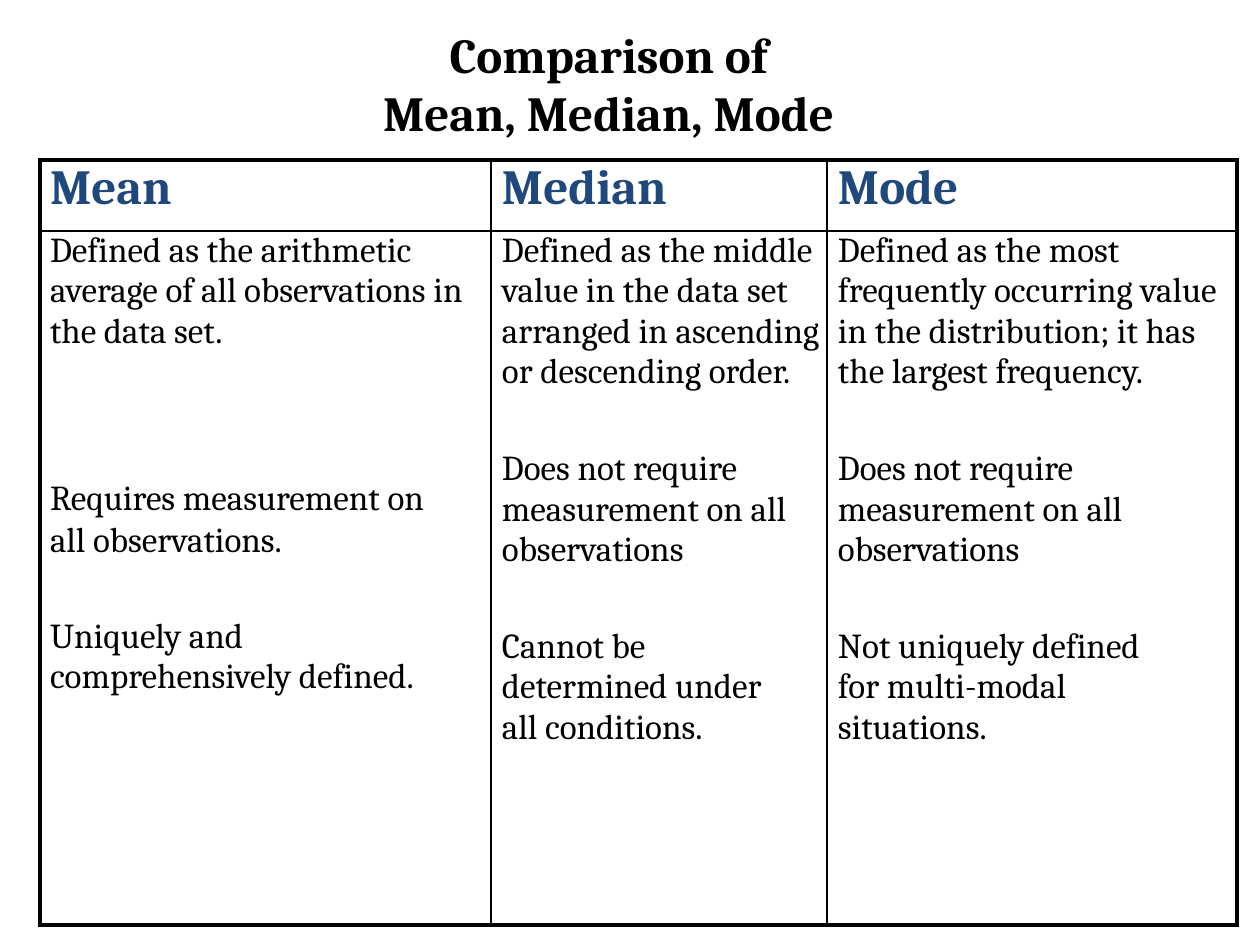
from pptx import Presentation
from pptx import util as u
from pptx.dml.color import RGBColor
from pptx.enum import text
from pptx.oxml import parse_xml
from pptx.oxml.ns import nsdecls

SCALE = 914400 / 126  # EMU in one px
FONT = "Cambria"
BLACK, BLUE = "000000", "1F487C"
THIN, THICK = 1, 2.25

COLUMN_WIDTHS = [451, 336, 410]
ROW_HEIGHTS = [71, 694]
INDENTS = [10, 11, 11]
HEADINGS = ["Mean", "Median", "Mode"]

# Each paragraph: wording, space before in points, line spacing, right indent in px
COLUMNS = [
    [
        ("Defined as the arithmetic average of all observations in the data set.", 0, 1, 0),
        ("Requires measurement on", 71.5, 1.05, 0),
        ("all observations.", 0, 1.05, 0),
        ("Uniquely and comprehensively defined.", 31.5, 1, 40),
    ],
    [
        ("Defined as the middle value in the data set arranged in ascending or descending order.",
         0, 1, 5),
        ("Does not require measurement on all observations", 32.5, 1, 0),
        ("Cannot be determined under all conditions.", 32.5, 1, 45),
    ],
    [
        ("Defined as the most frequently occurring value in the distribution; "
         "it has the largest frequency.", 0, 1, 0),
        ("Does not require measurement on all observations", 32.5, 1, 0),
        ("Not uniquely defined for multi-modal situations.", 32.5, 1, 70),
    ],
]


def px(length):
    return u.Emu(round(length * SCALE))


def color(code):
    return RGBColor.from_string(code)


def add_span(para, wording, size, code, bold=False):
    span = para.add_run()
    span.text = wording
    span.font.name = FONT
    span.font.size = u.Pt(size)
    span.font.bold = bold
    span.font.color.rgb = color(code)


def clear_insets(area):
    area.margin_left = area.margin_right = area.margin_top = area.margin_bottom = 0
    area.vertical_anchor = text.MSO_ANCHOR.TOP


def next_para(frame, index):
    return frame.paragraphs[0] if index == 0 else frame.add_paragraph()


def indent(para, left, right=0):
    properties = para._p.get_or_add_pPr()
    properties.set("marL", str(px(left)))
    properties.set("marR", str(px(right)))
    properties.set("indent", "0")


def add_title(page, lines):
    title = page.shapes.title
    title.left, title.top, title.width, title.height = map(px, (366, 24, 485, 111))
    frame = title.text_frame
    clear_insets(frame)
    frame.word_wrap = True
    frame.auto_size = text.MSO_AUTO_SIZE.NONE
    for index, line in enumerate(lines):
        para = next_para(frame, index)
        para.alignment = text.PP_ALIGN.CENTER
        para.space_before = u.Pt(0)
        para.line_spacing = 1.0
        add_span(para, line, 28, BLACK, bold=True)


def set_borders(cell, row, column):
    outer = {
        "L": column == 0,
        "R": column == len(COLUMN_WIDTHS) - 1,
        "T": row == 0,
        "B": row == len(ROW_HEIGHTS) - 1,
    }
    properties = cell._tc.get_or_add_tcPr()
    for index, (side, is_outer) in enumerate(outer.items()):
        width = u.Pt(THICK if is_outer else THIN)
        properties.insert(index, parse_xml(
            f'<a:ln{side} {nsdecls("a")} w="{width}"><a:solidFill>'
            f'<a:srgbClr val="{BLACK}"/></a:solidFill></a:ln{side}>'))


def fill_column(table, column):
    heading, body = table.cell(0, column), table.cell(1, column)
    for row, cell in enumerate((heading, body)):
        clear_insets(cell)
        cell.fill.background()
        set_borders(cell, row, column)

    para = heading.text_frame.paragraphs[0]
    indent(para, INDENTS[column])
    add_span(para, HEADINGS[column], 28, BLUE, bold=True)

    for index, (wording, before, spacing, right) in enumerate(COLUMNS[column]):
        para = next_para(body.text_frame, index)
        indent(para, INDENTS[column], right)
        para.space_before = u.Pt(before)
        para.line_spacing = spacing
        add_span(para, wording, 20, BLACK)


def add_comparison(page):
    frame = page.shapes.add_table(
        len(ROW_HEIGHTS), len(COLUMN_WIDTHS), px(40), px(160),
        px(sum(COLUMN_WIDTHS)), px(sum(ROW_HEIGHTS)))
    table = frame.table
    table.first_row = table.horz_banding = False
    for row, height in zip(table.rows, ROW_HEIGHTS):
        row.height = px(height)
    for index, width in enumerate(COLUMN_WIDTHS):
        table.columns[index].width = px(width)
        fill_column(table, index)


def main():
    deck = Presentation()
    deck.slide_width, deck.slide_height = px(1260), px(945)
    page = deck.slides.add_slide(deck.slide_layouts[5])

    # Heading
    add_title(page, ["Comparison of", "Mean, Median, Mode"])

    # Comparison table
    add_comparison(page)

    deck.save("out.pptx")


if __name__ == "__main__":
    main()
